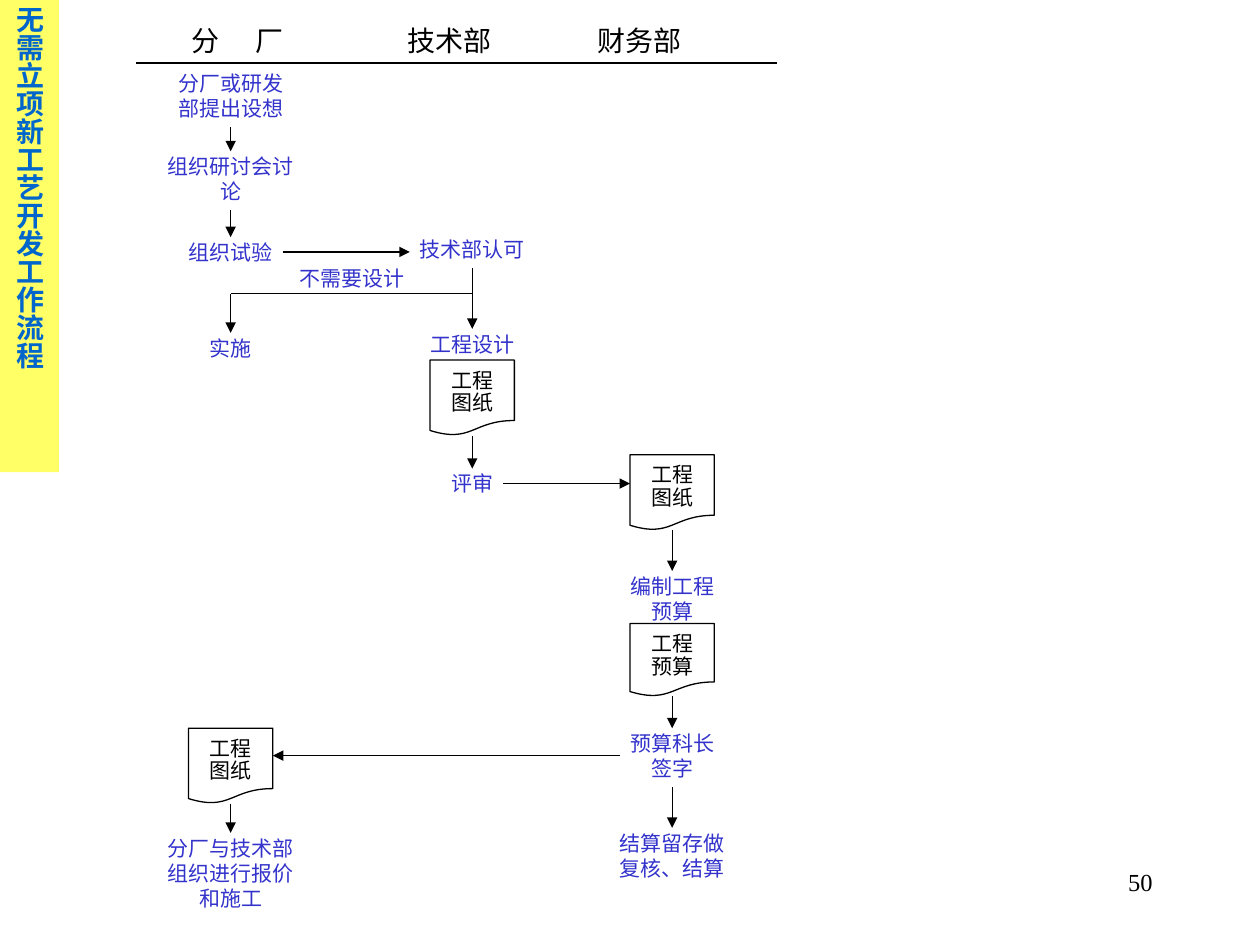
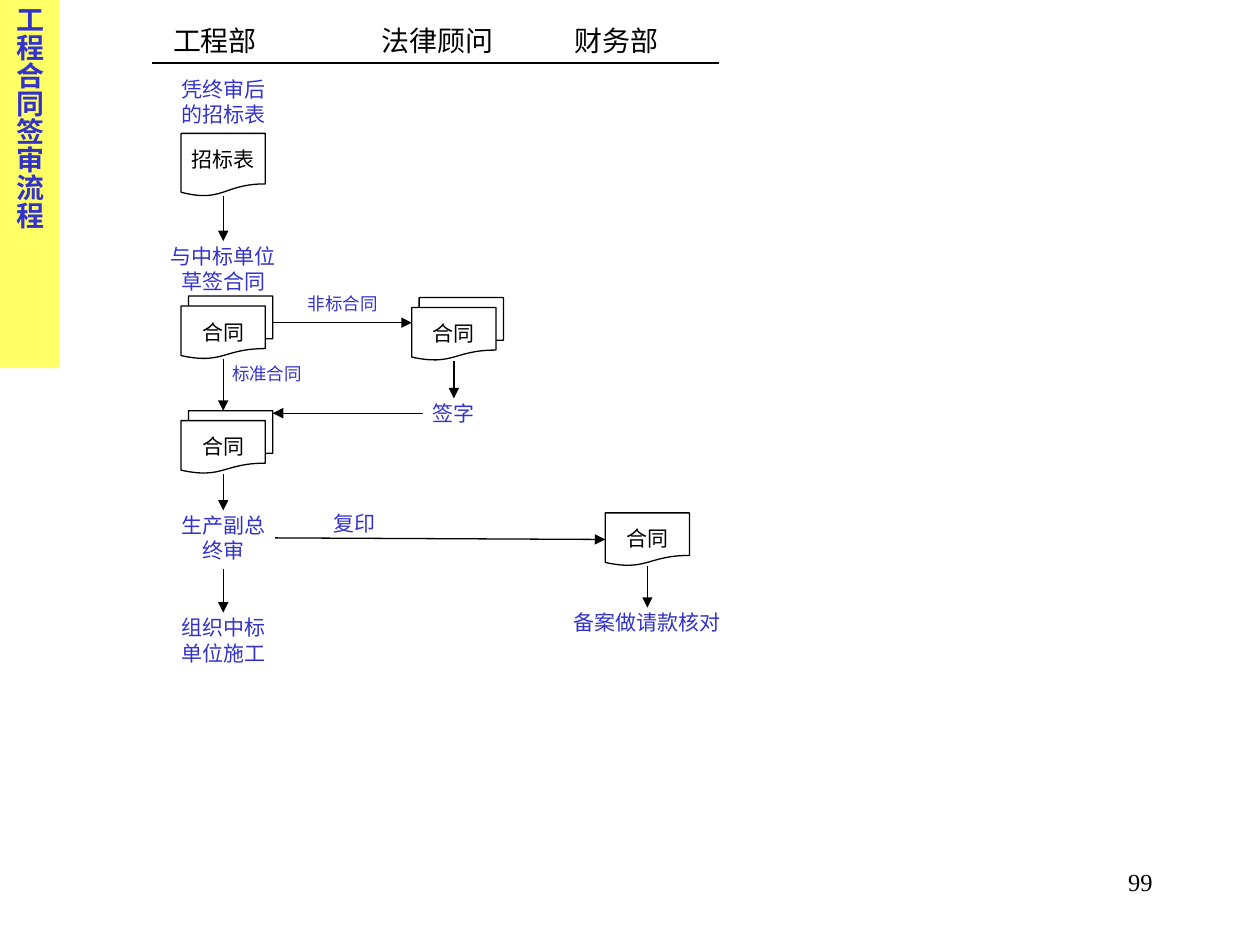
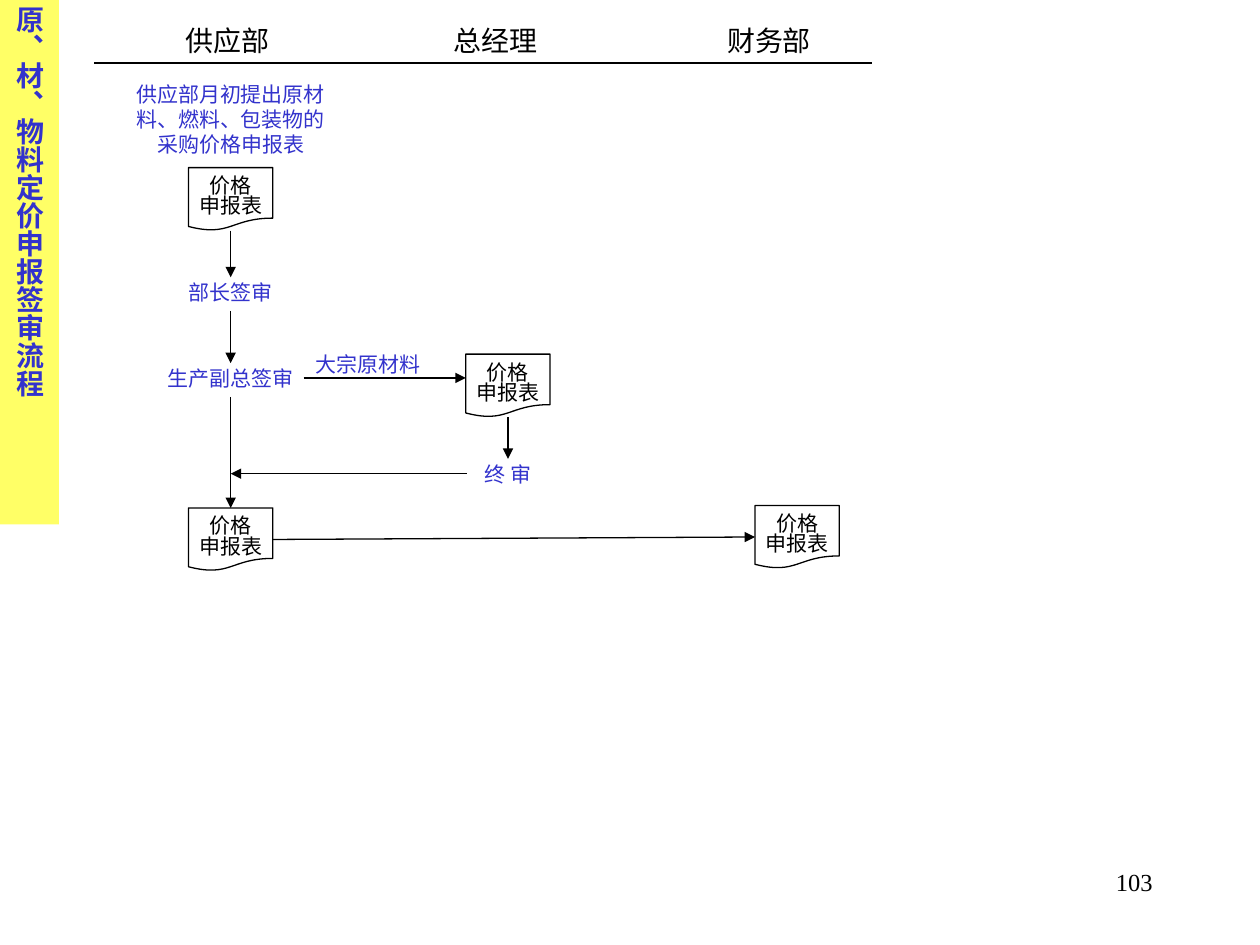
import math
from dataclasses import dataclass

from lxml import etree
from pptx import Presentation
from pptx import util as u
from pptx.dml.color import RGBColor
from pptx.enum import shapes, text
from pptx.oxml import ns

BLACK = RGBColor(0x00, 0x00, 0x00)
WHITE = RGBColor(0xFF, 0xFF, 0xFF)
YELLOW = RGBColor(0xFF, 0xFF, 0x66)
BLUE = RGBColor(0x33, 0x33, 0xCC)
TITLE_BLUE = RGBColor(0x00, 0x66, 0xCC)
FONT = "Times New Roman"

# Shared measures in centimetres, text sizes in points
STEP_SIZE = 12
HEADING_SIZE = 16
BAND_WIDTH = 1.19
RULE_Y = 1.27
SHEET_WIDTH = 1.7
STACK_RIGHT, STACK_UP = 0.15, 0.2
INSET = 0.25
ARROW_OVERLAP = 0.08
SIDE_OVERLAP = 0.15
BRANCH_RISE = 0.71
TOP, LEFT, BOTTOM, RIGHT = range(4)

# Content, in centimetres
#   lanes: centre x of each department's column
#   chains: nodes joined downwards; "source" feeds the first node from the side,
#           "follows" continues the lane, "branch" splits off another lane
#   steps: ("step", text, top, characters per line if it wraps)
#   documents: ("sheet" or "stack", text, top, height if special)
#   labels: text, size, centre x, top
FLOWS = [
    {
        "title": "无需立项新工艺开发工作流程", "title_color": TITLE_BLUE,
        "band_height": 9.52, "page": "50", "rule": (2.74, 15.67),
        "headings": [("分", 3.86), ("厂", 5.16), ("技术部", 8.22), ("财务部", 12.05)],
        "lanes": (4.65, 9.52, 13.55),
        "sheet": {"height": 1.52, "per_line": 2, "spacing": 0.9},
        "chains": [
            {"lane": 0, "nodes": [("step", "分厂或研发部提出设想", 1.3, 5),
                                  ("step", "组织研讨会讨论", 2.97, 6),
                                  ("step", "组织试验", 4.7)]},
            {"lane": 1, "source": "组织试验",
             "nodes": [("step", "技术部认可", 4.65),
                       ("step", "工程设计", 6.55),
                       ("sheet", "工程图纸", 7.26),
                       ("step", "评审", 9.37)]},
            {"lane": 0, "branch": 1, "nodes": [("step", "实施", 6.63)]},
            {"lane": 2, "source": "评审",
             "nodes": [("sheet", "工程图纸", 9.17),
                       ("step", "编制工程预算", 11.43, 4),
                       ("sheet", "工程预算", 12.57, 1.47),
                       ("step", "预算科长签字", 14.6, 4),
                       ("step", "结算留存做复核、结算", 16.61, 5)]},
            {"lane": 0, "source": "预算科长签字",
             "nodes": [("sheet", "工程图纸", 14.68),
                       ("step", "分厂与技术部组织进行报价和施工", 16.71, 6)]},
        ],
        "labels": [("不需要设计", 12, 7.09, 5.23)],
    },
    {
        "title": "工程合同签审流程", "title_color": BLUE,
        "band_height": 7.42, "page": "99", "rule": (3.07, 14.5),
        "headings": [("工程部", 3.49), ("法律顾问", 7.7), ("财务部", 11.59)],
        "lanes": (4.5, 9.15, 13.05),
        "sheet": {"height": 1.07, "per_line": 3, "spacing": 0.8},
        "chains": [
            {"lane": 0, "nodes": [("step", "凭终审后的招标表", 1.42, 4),
                                  ("sheet", "招标表", 2.69, 1.27),
                                  ("step", "与中标单位草签合同", 4.78, 5),
                                  ("stack", "合同", 6.17)]},
            {"lane": 1, "source": "合同", "nodes": [("stack", "合同", 6.2),
                                                  ("step", "签字", 7.95)]},
            {"lane": 0, "source": "签字", "follows": True,
             "nodes": [("stack", "合同", 8.48),
                       ("step", "生产副总终审", 10.21, 4),
                       ("step", "组织中标单位施工", 12.27, 4)]},
            {"lane": 2, "source": "生产副总终审",
             "nodes": [("sheet", "合同", 10.34),
                       ("step", "备案做请款核对", 12.17)]},
        ],
        "labels": [("非标合同", 10, 6.91, 5.79), ("标准合同", 10, 5.38, 7.19),
                   ("复印", 12, 7.14, 10.16)],
    },
    {
        "title": "原、材、物料定价申报签审流程", "title_color": BLUE,
        "band_height": 10.57, "page": "103", "rule": (1.9, 17.58),
        "headings": [("供应部", 3.75), ("总经理", 9.15), ("财务部", 14.66)],
        "lanes": (4.65, 10.24, 16.07),
        "sheet": {"height": 1.27, "per_line": 3, "spacing": 0.8},
        "chains": [
            {"lane": 0, "nodes": [
                ("step", "供应部月初提出原材料、燃料、包装物的 采购价格申报表", 1.52, 9),
                ("sheet", "价格 申报表", 3.38),
                ("step", "部长签审", 5.51),
                ("step", "生产副总签审", 7.24)]},
            {"lane": 1, "source": "生产副总签审", "merge": 0,
             "nodes": [("sheet", "价格 申报表", 7.14), ("step", "终 审", 9.17)]},
            {"lane": 0, "follows": True, "nodes": [("sheet", "价格 申报表", 10.24)]},
            {"lane": 2, "source": "价格 申报表",
             "nodes": [("sheet", "价格 申报表", 10.19)]},
        ],
        "labels": [("大宗原材料", 12, 7.42, 6.96)],
    },
]


@dataclass
class Node:
    """Where arrows may leave or reach a step or document."""
    center: float
    left: float
    right: float
    top: float
    bottom: float
    middle: float
    sheet: object = None
    stacked: bool = False


def set_values(target, values):
    for name, value in values.items():
        setattr(target, name, value)


def character_width(size):
    return size * 2.54 / 72


def write(frame, words, size, color, alignment, spacing=1.0, bold=False, tabs=()):
    """Fill a text frame with one formatted paragraph."""
    set_values(frame, {"word_wrap": True, "auto_size": text.MSO_AUTO_SIZE.NONE,
                       "vertical_anchor": text.MSO_ANCHOR.TOP})
    paragraph = frame.paragraphs[0]
    paragraph.text = words
    set_values(paragraph, {"alignment": alignment, "line_spacing": spacing})
    if tabs:
        tab_list = etree.SubElement(paragraph._p.get_or_add_pPr(), ns.qn("a:tabLst"))
        for position in tabs:
            etree.SubElement(tab_list, ns.qn("a:tab"),
                             pos=str(int(u.Cm(position))), algn="l")
    font = paragraph.runs[0].font
    set_values(font, {"name": FONT, "size": u.Pt(size), "bold": bold})
    font.color.rgb = color


def add_text(slide, box, *arguments, **options):
    shape = slide.shapes.add_textbox(*map(u.Cm, box))
    write(shape.text_frame, *arguments, **options)


def add_band(slide, flow):
    band = slide.shapes.title
    set_values(band, {"left": 0, "top": 0, "width": u.Cm(BAND_WIDTH),
                      "height": u.Cm(flow["band_height"])})
    band.fill.solid()
    band.fill.fore_color.rgb = YELLOW
    write(band.text_frame, flow["title"], HEADING_SIZE, flow["title_color"],
          text.PP_ALIGN.JUSTIFY, bold=True)
    band.text_frame._txBody.bodyPr.set("vert", "eaVert")


def add_headings(slide, flow):
    names, lefts = zip(*flow["headings"])
    first = lefts[0]
    box = (first - INSET, 0.48, lefts[-1] - first + 2.5, 0.79)
    add_text(slide, box, "\t".join(names), HEADING_SIZE, BLACK, text.PP_ALIGN.LEFT,
             spacing=0.8, tabs=[left - first for left in lefts[1:]])


def add_step(slide, words, center, top, per_line=None, size=STEP_SIZE):
    per_line = per_line or len(words)
    character = character_width(size)
    width = per_line * character + 0.7
    height = math.ceil(len(words) / per_line) * character * 1.2 + INSET
    left = center - width / 2
    add_text(slide, (left, top, width, height), words, size, BLUE, text.PP_ALIGN.CENTER)
    return Node(center, left + SIDE_OVERLAP, left + width - SIDE_OVERLAP,
                top, top + height, top + height / 2)


def add_sheet(slide, left, top, height):
    sheet = slide.shapes.add_shape(shapes.MSO_SHAPE.FLOWCHART_DOCUMENT,
                                   *map(u.Cm, (left, top, SHEET_WIDTH, height)))
    sheet.shadow.inherit = False
    sheet.fill.solid()
    sheet.fill.fore_color.rgb = WHITE
    sheet.line.color.rgb = BLACK
    sheet.line.width = u.Pt(0.75)
    return sheet


def add_document(slide, style, stacked, words, center, top, height=None):
    height = height or style["height"]
    left = center - SHEET_WIDTH / 2
    right, upper = left + SHEET_WIDTH, top
    if stacked:
        right, upper = right + STACK_RIGHT, top - STACK_UP
        add_sheet(slide, left + STACK_RIGHT, upper, height)
    sheet = add_sheet(slide, left, top, height)
    text_width = style["per_line"] * character_width(STEP_SIZE) + 0.05
    side = u.Cm((SHEET_WIDTH - text_width) / 2)
    above = 0.2 if len(words) > style["per_line"] else 0.36
    set_values(sheet.text_frame, {"margin_left": side, "margin_right": side,
                                  "margin_top": u.Cm(above), "margin_bottom": 0})
    write(sheet.text_frame, words, STEP_SIZE, BLACK, text.PP_ALIGN.CENTER,
          spacing=style["spacing"])
    return Node(center, left, right, upper, top + height, upper + height / 2,
                sheet, stacked)


def add_line(slide, ends, arrow=True):
    line = slide.shapes.add_connector(shapes.MSO_CONNECTOR.STRAIGHT, *map(u.Cm, ends))
    line.line.color.rgb = BLACK
    line.line.width = u.Pt(0.75)
    if arrow:
        etree.SubElement(line.line._get_or_add_ln(), ns.qn("a:tailEnd"), type="triangle")
    etree.SubElement(line._element.spPr, ns.qn("a:effectLst"))
    return line


def link_down(slide, upper, lower):
    """Arrow between two nodes of a lane, unless they touch."""
    if lower.top - upper.bottom < 0.3:
        return
    end = lower.top if lower.sheet else lower.top + ARROW_OVERLAP
    line = add_line(slide, (upper.center, upper.bottom, upper.center, end))
    if upper.sheet:
        line.begin_connect(upper.sheet, BOTTOM)
    if lower.sheet and not lower.stacked:
        line.end_connect(lower.sheet, TOP)


def link_across(slide, source, target):
    """Level arrow from the middle of the source to the target's near side."""
    y = source.middle
    forward = source.center < target.center
    start, end = (source.right, target.left) if forward else (source.left, target.right)
    line = add_line(slide, (start, y, end, y))
    begin_site, end_site = (RIGHT, LEFT) if forward else (LEFT, RIGHT)
    if source.sheet and not source.stacked:
        line.begin_connect(source.sheet, begin_site)
    if target.sheet and not target.stacked and abs(target.middle - y) < INSET / 4:
        line.end_connect(target.sheet, end_site)


def add_chain(slide, flow, chain, named, last_in_lane):
    lane = chain["lane"]
    center = flow["lanes"][lane]
    previous = last_in_lane.get(lane) if chain.get("follows") else None
    source = named.get(chain.get("source"))
    for kind, words, *place in chain["nodes"]:
        if kind == "step":
            node = add_step(slide, words, center, *place)
        else:
            node = add_document(slide, flow["sheet"], kind == "stack",
                                words, center, *place)
        if previous:
            link_down(slide, previous, node)
        if source:
            link_across(slide, source, node)
            source = None
        if "branch" in chain:
            y = node.top - BRANCH_RISE
            add_line(slide, (flow["lanes"][chain["branch"]], y, center, y), arrow=False)
            add_line(slide, (center, y, center, node.top + ARROW_OVERLAP))
        named[words] = last_in_lane[lane] = previous = node
    if "merge" in chain:
        add_line(slide, (previous.left, previous.middle,
                         flow["lanes"][chain["merge"]], previous.middle))


def build_flow(presentation, flow):
    slide = presentation.slides.add_slide(presentation.slide_layouts[5])
    # Title band, department headings and page number
    add_band(slide, flow)
    add_headings(slide, flow)
    start, end = flow["rule"]
    add_line(slide, (start, RULE_Y, end, RULE_Y), arrow=False)
    add_text(slide, (18.21, 17.35, 5.28, 1.27), flow["page"], 14, BLACK,
             text.PP_ALIGN.RIGHT)
    # Flow chart
    named, last_in_lane = {}, {}
    for chain in flow["chains"]:
        add_chain(slide, flow, chain, named, last_in_lane)
    for words, size, center, top in flow["labels"]:
        add_step(slide, words, center, top, size=size)


def main():
    presentation = Presentation()
    set_values(presentation, {"slide_width": u.Cm(25.4), "slide_height": u.Cm(19.05)})
    for flow in FLOWS:
        build_flow(presentation, flow)
    presentation.save("out.pptx")


if __name__ == "__main__":
    main()
